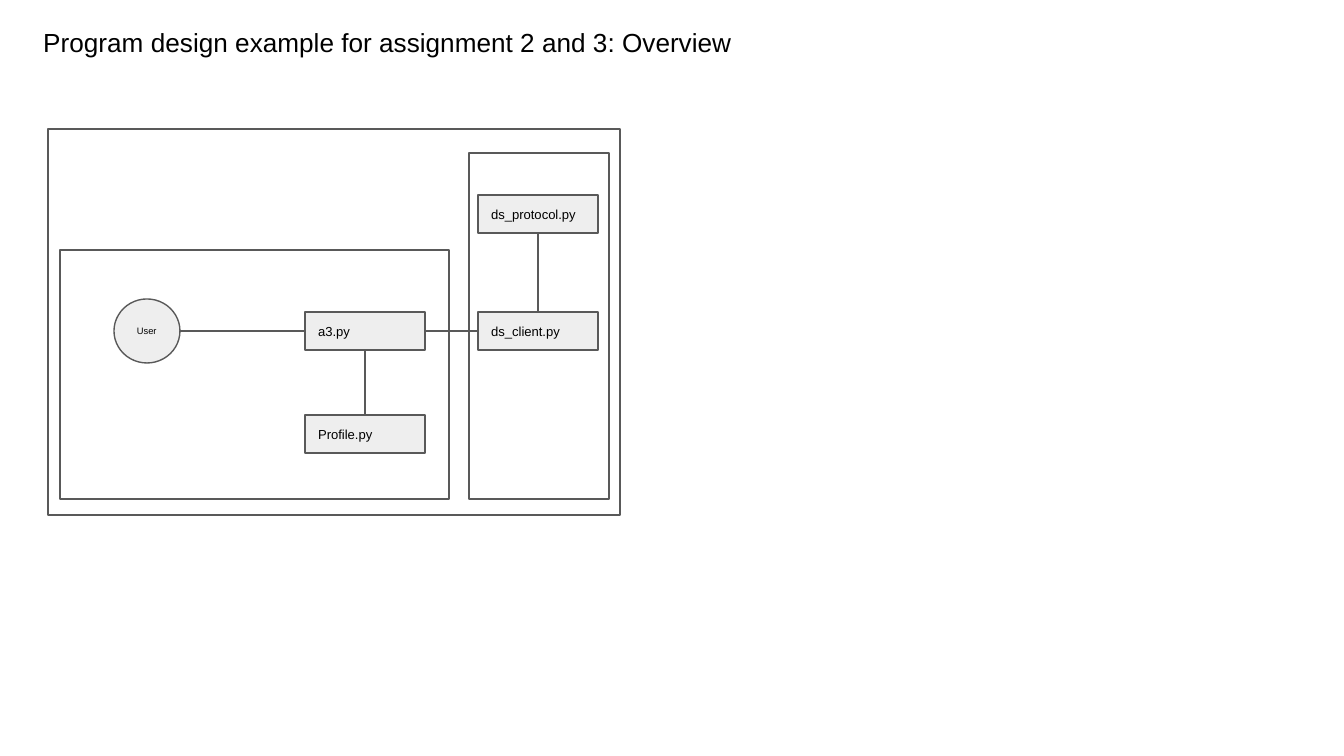
from pptx import Presentation
from pptx.dml.color import RGBColor
from pptx.enum.shapes import MSO_CONNECTOR, MSO_SHAPE
from pptx.enum.text import MSO_ANCHOR, MSO_AUTO_SIZE, PP_ALIGN
from pptx.oxml.ns import qn
from pptx.util import Emu, Inches, Pt
from lxml.etree import SubElement

PX = 914400 / 134.4
COLORS = {"line": "595959", "node": "EEEEEE", "text": "000000"}


def px(*lengths):
    return [Emu(round(length * PX)) for length in lengths]


def color(name):
    return RGBColor.from_string(COLORS[name])


class Diagram:
    font = "Arial"
    line_width = Pt(0.75)

    def __init__(self, slide):
        self.slide = slide

    def label(self, shape, text, size):
        frame = shape.text_frame
        frame.text = text
        frame.word_wrap = True
        frame.margin_left = frame.margin_right = Inches(0.1)
        frame.margin_top = frame.margin_bottom = Inches(0.1)
        paragraph = frame.paragraphs[0]
        paragraph.alignment = PP_ALIGN.LEFT
        font = paragraph.runs[0].font
        font.name, font.size = self.font, Pt(size)
        font.color.rgb = color("text")
        return frame

    def outline(self, shape):
        shape.line.color.rgb = color("line")
        shape.line.width = self.line_width

    def frame(self, *box):
        area = self.slide.shapes.add_shape(MSO_SHAPE.RECTANGLE, *px(*box))
        area.shadow.inherit = False
        area.fill.background()
        self.outline(area)

    def node(self, text, *box, size=7, kind=MSO_SHAPE.RECTANGLE):
        node = self.slide.shapes.add_shape(kind, *px(*box))
        node.shadow.inherit = False
        node.fill.solid()
        node.fill.fore_color.rgb = color("node")
        self.outline(node)
        self.label(node, text, size).vertical_anchor = MSO_ANCHOR.MIDDLE
        return node

    def connect(self, *ends):
        link = self.slide.shapes.add_connector(MSO_CONNECTOR.ELBOW, *ends)
        self.outline(link)
        SubElement(link._element.spPr, qn("a:effectLst"))

    def connect_right(self, left, right):
        y = right.top + right.height // 2
        self.connect(left.left + left.width, y, right.left, y)

    def connect_down(self, upper, lower):
        x = upper.left + upper.width // 2
        self.connect(x, upper.top + upper.height, x, lower.top)

    def title(self, text, *box):
        heading = self.slide.shapes.add_textbox(*px(*box))
        frame = self.label(heading, text, 14)
        frame.auto_size = MSO_AUTO_SIZE.SHAPE_TO_FIT_TEXT


def main():
    deck = Presentation()
    deck.slide_width, deck.slide_height = px(1344, 756)
    diagram = Diagram(deck.slides.add_slide(deck.slide_layouts[6]))

    # Frames: whole program, local part, server part
    diagram.frame(48, 129, 572, 386)
    diagram.frame(60, 250, 389, 249)
    diagram.frame(469, 153, 140, 346)

    # Modules and user
    module = (120, 38)
    local_x, server_x, main_y = 305, 478, 312
    app = diagram.node("a3.py", local_x, main_y, *module)
    profile = diagram.node("Profile.py", local_x, 415, *module)
    client = diagram.node("ds_client.py", server_x, main_y, *module)
    protocol = diagram.node("ds_protocol.py", server_x, 195, *module)
    user = diagram.node("User", 114, 299, 66, 64, size=5, kind=MSO_SHAPE.OVAL)

    # Links
    diagram.connect_right(user, app)
    diagram.connect_right(app, client)
    diagram.connect_down(app, profile)
    diagram.connect_down(protocol, client)

    # Title
    diagram.title("Program design example for assignment 2 and 3: Overview",
                  30, 13, 771, 59)

    deck.save("out.pptx")


if __name__ == "__main__":
    main()
